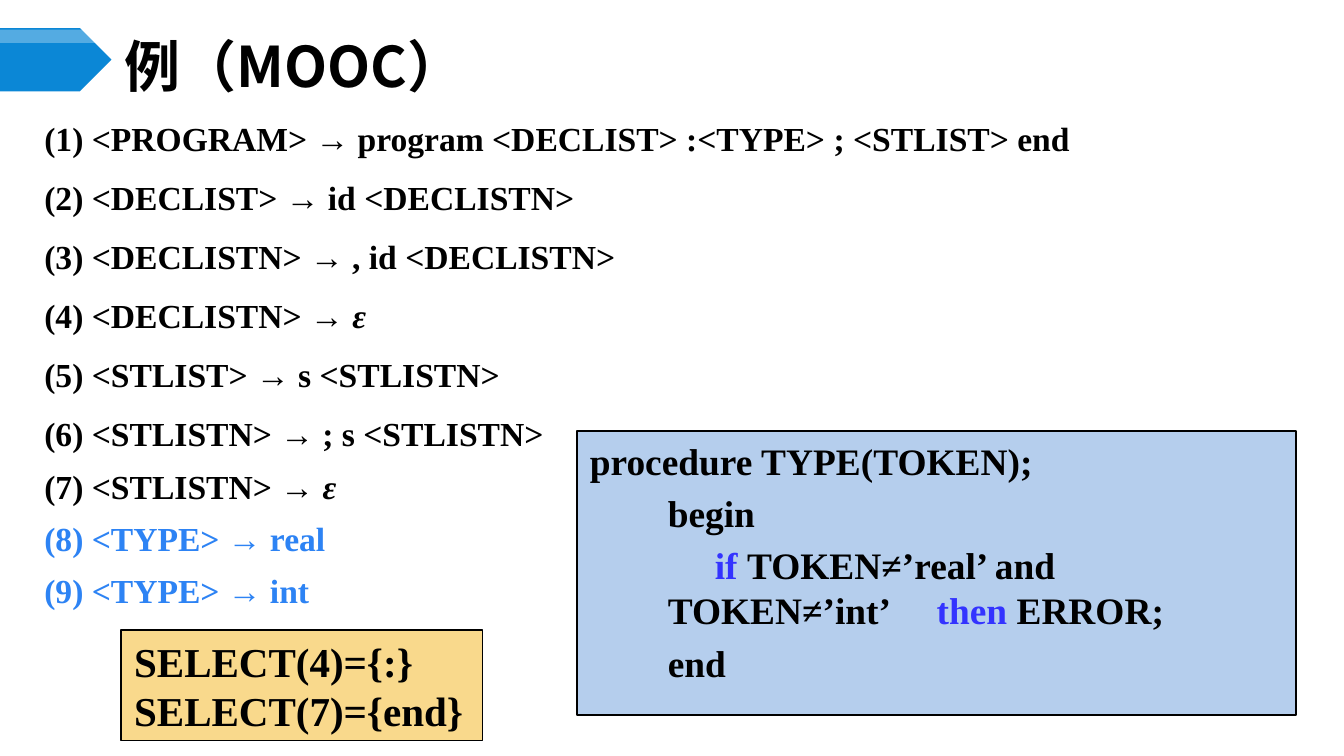
from lxml import etree
from pptx import Presentation
from pptx.dml.color import RGBColor
from pptx.enum.shapes import MSO_SHAPE
from pptx.enum.text import MSO_ANCHOR, MSO_AUTO_SIZE, PP_ALIGN
from pptx.oxml.ns import qn
from pptx.util import Inches, Pt

BLACK, WHITE = "000000", "FFFFFF"
RULE_BLUE, KEYWORD_BLUE = "2D83F4", "3333FF"
SERIF, SANS = "Times New Roman", "Noto Sans CJK SC"

TITLE = "例（MOOC）"

# Each line: its (text, colour, italic) runs and its space before in points
RULES = [
    ([("(1) <PROGRAM> → program <DECLIST> :<TYPE> ; <STLIST> end", BLACK, False)], 0),
    ([("(2) <DECLIST> → id <DECLISTN>", BLACK, False)], 3.6),
    ([("(3) <DECLISTN> → , id <DECLISTN>", BLACK, False)], 3.6),
    ([("(4) <DECLISTN> → ", BLACK, False), ("ε", BLACK, True)], 3.6),
    ([("(5) <STLIST> → s <STLISTN>", BLACK, False)], 3.6),
    ([("(6) <STLISTN> → ; s <STLISTN>", BLACK, False)], 3.6),
    ([("(7) <STLISTN> → ", BLACK, False), ("ε", BLACK, True)], 0),
    ([("(8) <TYPE> → real", RULE_BLUE, False)], 0),
    ([("(9) <TYPE> → int", RULE_BLUE, False)], 0),
]
SELECT_SETS = [
    ([("SELECT(4)={:}", BLACK, False)], 0),
    ([("SELECT(7)={end}", BLACK, False)], 0),
]
PROCEDURE = [
    ([("procedure TYPE(TOKEN);", BLACK, False)], 0),
    ([("begin", BLACK, False)], 4),
    ([("if ", KEYWORD_BLUE, False),
      ("TOKEN≠’real’ and TOKEN≠’int’\t", BLACK, False),
      ("then", KEYWORD_BLUE, False),
      (" ERROR;", BLACK, False)], 4),
    ([("end", BLACK, False)], 4),
]
# Left margin, first-line indent and tab stop of each procedure line, in inches
PROCEDURE_INDENTS = [(0.58, -0.58, None), (0.58, 0, None), (0.58, 0.35, 3.37), (0.58, 0, None)]


def rgb(colour):
    return RGBColor.from_string(colour)


def place(shape, left, top, width, height):
    shape.left, shape.top = Inches(left), Inches(top)
    shape.width, shape.height = Inches(width), Inches(height)


def add_box(slide, kind, bounds, fill, outlined=False):
    shape = slide.shapes.add_shape(kind, *map(Inches, bounds))
    shape.shadow.inherit = False
    shape.fill.solid()
    shape.fill.fore_color.rgb = rgb(fill)
    if outlined:
        shape.line.color.rgb = rgb(BLACK)
        shape.line.width = Pt(1)
    else:
        shape.line.fill.background()
    return shape


def set_indent(paragraph, left, first_line, tab=None):
    """Set the margins in inches, turn bullets off and add an optional tab stop."""
    properties = paragraph._p.get_or_add_pPr()
    properties.set("marL", str(Inches(left)))
    properties.set("indent", str(Inches(first_line)))
    etree.SubElement(properties, qn("a:buNone"))
    if tab is not None:
        tabs = etree.SubElement(properties, qn("a:tabLst"))
        etree.SubElement(tabs, qn("a:tab"), pos=str(Inches(tab)), algn="l")


def write_lines(text_frame, lines, size, indents, line_spacing=None):
    for index, ((runs, space_before), indent) in enumerate(zip(lines, indents)):
        paragraph = text_frame.paragraphs[0] if index == 0 else text_frame.add_paragraph()
        set_indent(paragraph, *indent)
        paragraph.alignment = PP_ALIGN.LEFT
        paragraph.space_before = Pt(space_before)
        if line_spacing:
            paragraph.line_spacing = Pt(line_spacing)
        for text, colour, italic in runs:
            run = paragraph.add_run()
            run.text = text
            font = run.font
            font.name, font.size = SERIF, Pt(size)
            font.bold, font.italic = True, italic
            font.color.rgb = rgb(colour)


def add_marker(slide):
    add_box(slide, MSO_SHAPE.PENTAGON, (0, 0.21, 0.83, 0.47), "0B87D6")
    highlight = add_box(slide, MSO_SHAPE.PENTAGON, (0, 0.22, 0.83, 0.1), WHITE)
    colour = highlight.fill._xPr.find(qn("a:solidFill"))[0]
    etree.SubElement(colour, qn("a:alpha"), val="30000")


def add_title(slide):
    title = slide.shapes.title
    place(title, 0.83, 0.29, 4.33, 0.39)
    frame = title.text_frame
    frame.text = TITLE
    frame.auto_size = MSO_AUTO_SIZE.NONE
    frame.vertical_anchor = MSO_ANCHOR.MIDDLE
    paragraph = frame.paragraphs[0]
    paragraph.alignment = PP_ALIGN.LEFT
    font = paragraph.runs[0].font
    font.name, font.size, font.bold = SANS, Pt(30), True
    font.color.rgb = rgb(BLACK)
    etree.SubElement(font._element, qn("a:ea"), typeface=SANS)


def add_rules(slide):
    body = slide.placeholders[1]
    place(body, 0.23, 0.74, 9.53, 3.9)
    body.text_frame.auto_size = MSO_AUTO_SIZE.NONE
    write_lines(body.text_frame, RULES, 18, [(0.37, -0.37)] * len(RULES), 28)


def add_select_sets(slide):
    box = add_box(slide, MSO_SHAPE.RECTANGLE, (0.9, 4.69, 2.69, 0.82), "F9D98C", True)
    box.text_frame.word_wrap = False
    box.text_frame.vertical_anchor = MSO_ANCHOR.MIDDLE
    write_lines(box.text_frame, SELECT_SETS, 22, [(0, 0)] * len(SELECT_SETS))


def add_procedure(slide):
    box = add_box(slide, MSO_SHAPE.RECTANGLE, (4.29, 3.21, 5.35, 2.11), "B5CEED", True)
    box.text_frame.word_wrap = True
    box.text_frame.vertical_anchor = MSO_ANCHOR.TOP
    write_lines(box.text_frame, PROCEDURE, 20, PROCEDURE_INDENTS)


def main():
    presentation = Presentation()
    presentation.slide_width = Inches(10)
    presentation.slide_height = presentation.slide_width * 9 // 16
    slide = presentation.slides.add_slide(presentation.slide_layouts[1])
    add_marker(slide)
    add_title(slide)
    add_rules(slide)
    add_select_sets(slide)
    add_procedure(slide)
    presentation.save("out.pptx")


if __name__ == "__main__":
    main()
